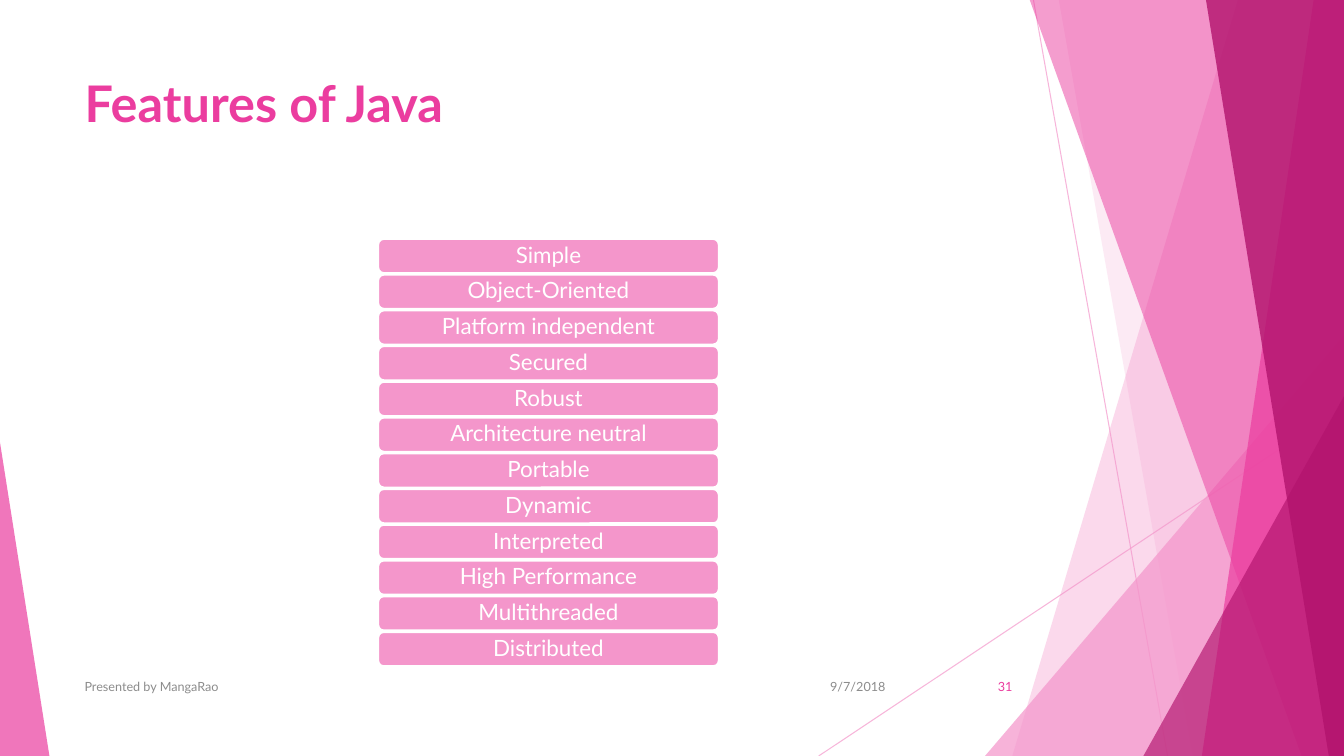
from dataclasses import dataclass

from lxml.etree import SubElement
from pptx import Presentation
from pptx.dml.color import RGBColor
from pptx.enum.shapes import MSO_CONNECTOR, MSO_SHAPE
from pptx.enum.text import MSO_ANCHOR, PP_ALIGN
from pptx.oxml.ns import qn
from pptx.util import Inches, Pt


@dataclass(frozen=True)
class Theme:
    font: str = "Lato"
    light: str = "F496CB"
    pink: str = "EB3D9F"
    dark: str = "B2136D"
    gray: str = "8C8C8C"
    white: str = "FFFFFF"
    title_size: int = 36
    feature_size: int = 16
    footer_size: int = 9


THEME = Theme()
WIDTH, HEIGHT = 13.33, 7.5

TITLE = "Features of Java"
FEATURES = [
    "Simple", "Object-Oriented", "Platform independent", "Secured",
    "Robust", "Architecture neutral", "Portable", "Dynamic",
    "Interpreted", "High Performance", "Multithreaded", "Distributed",
]
# text, left, width, alignment, colour
FOOTERS = [
    ("9/7/2018", 7.88, 1, PP_ALIGN.RIGHT, THEME.gray),
    ("Presented by MangaRao", 0.74, 6.89, PP_ALIGN.LEFT, THEME.gray),
    ("31", 9.39, 0.75, PP_ALIGN.RIGHT, THEME.pink),
]
RAYS = [((10.25, 0), (11.58, HEIGHT)), ((WIDTH, 4.03), (8.12, HEIGHT))]
# Bands reach the right edge: left end at the top, left end at the bottom.
# Corners are right triangles on the bottom edge: left, top, width, apex.
FACETS = [
    ("band", (12.28, 10.04), THEME.light, 36),
    ("band", (10.5, 11.83), THEME.light, 20),
    ("corner", (9.77, 3.33, 3.56, 1), THEME.light, 72),
    ("band", (10.21, 12.91), THEME.pink, 50),
    ("band", (13.03, 11.92), THEME.pink, 70),
    ("band", (11.96, 13.18), THEME.dark, 80),
    ("corner", (11.34, 3.93, 1.99, 1), THEME.dark, 66),
    ("corner", (0, 4.39, 0.49, 0), THEME.pink, 70),
]
BAND_TOP = -0.01
FEATURE_LEFT, FEATURE_TOP, FEATURE_WIDTH, FEATURE_HEIGHT = 3.75, 2.37, 3.38, 0.34
FEATURE_PITCH = (6.27 - FEATURE_TOP) / (len(FEATURES) - 1)


def set_color(color_format, color, opacity=100):
    color_format.rgb = RGBColor.from_string(color)
    return opacity


def fill_solid(fill_format, color, parent, opacity=100):
    """Fill with a colour; parent is the XML element that holds the fill."""
    fill_format.solid()
    fill_format.fore_color.rgb = RGBColor.from_string(color)
    if opacity < 100:
        color_element = parent.find(qn("a:solidFill")).find(qn("a:srgbClr"))
        SubElement(color_element, qn("a:alpha")).set("val", str(opacity * 1000))


def write(shape, text, size, color, align, anchor, bold=False):
    frame = shape.text_frame
    frame.word_wrap = True
    frame.vertical_anchor = anchor
    paragraph = frame.paragraphs[0]
    paragraph.text = text
    paragraph.alignment = align
    font = paragraph.font
    font.name, font.size, font.bold = THEME.font, Pt(size), bold
    font.color.rgb = RGBColor.from_string(color)
    return frame


def add_text(slide, box, *style, **options):
    textbox = slide.shapes.add_textbox(*map(Inches, box))
    write(textbox, *style, **options)


def add_ray(slide, start, end):
    ray = slide.shapes.add_connector(
        MSO_CONNECTOR.STRAIGHT, *map(Inches, start + end))
    ray.line.width = Pt(0.75)
    properties = ray._element.spPr
    fill_solid(ray.line.fill, THEME.light, properties.find(qn("a:ln")), 70)
    SubElement(properties, qn("a:effectLst"))


def add_facet(slide, kind, geometry, color, opacity):
    if kind == "band":
        top_left, bottom_left = geometry
        builder = slide.shapes.build_freeform(
            Inches(top_left), Inches(BAND_TOP))
        corners = [(WIDTH, BAND_TOP), (WIDTH, HEIGHT), (bottom_left, HEIGHT)]
        builder.add_line_segments(
            [(Inches(x), Inches(y)) for x, y in corners], close=True)
        facet = builder.convert_to_shape()
    else:
        left, top, width, apex = geometry
        facet = slide.shapes.add_shape(
            MSO_SHAPE.ISOSCELES_TRIANGLE,
            *map(Inches, (left, top, width, HEIGHT - top)))
        facet.adjustments[0] = apex
    facet.shadow.inherit = False
    facet.line.fill.background()
    fill_solid(facet.fill, color, facet._element.spPr, opacity)


def add_feature(slide, row, text):
    top = FEATURE_TOP + row * FEATURE_PITCH
    bar = slide.shapes.add_shape(
        MSO_SHAPE.ROUNDED_RECTANGLE,
        *map(Inches, (FEATURE_LEFT, top, FEATURE_WIDTH, FEATURE_HEIGHT)))
    bar.shadow.inherit = False
    fill_solid(bar.fill, THEME.light, bar._element.spPr)
    bar.line.color.rgb = RGBColor.from_string(THEME.white)
    bar.line.width = Pt(1.5)
    frame = write(bar, text, THEME.feature_size, THEME.white,
                  PP_ALIGN.CENTER, MSO_ANCHOR.MIDDLE)
    frame.margin_left = frame.margin_right = Inches(0.07)
    frame.margin_top = frame.margin_bottom = Inches(0.03)
    frame.paragraphs[0].line_spacing = 0.9


def main():
    presentation = Presentation()
    presentation.slide_width = Inches(WIDTH)
    presentation.slide_height = Inches(HEIGHT)
    slide = presentation.slides.add_slide(presentation.slide_layouts[6])

    for start, end in RAYS:
        add_ray(slide, start, end)
    for facet in FACETS:
        add_facet(slide, *facet)
    add_text(slide, (0.74, 0.67, 9.4, 1.44), TITLE, THEME.title_size,
             THEME.pink, PP_ALIGN.LEFT, MSO_ANCHOR.TOP, bold=True)
    for row, feature in enumerate(FEATURES):
        add_feature(slide, row, feature)
    for text, left, width, align, color in FOOTERS:
        add_text(slide, (left, 6.61, width, 0.4), text, THEME.footer_size,
                 color, align, MSO_ANCHOR.MIDDLE)

    presentation.save("out.pptx")


if __name__ == "__main__":
    main()
